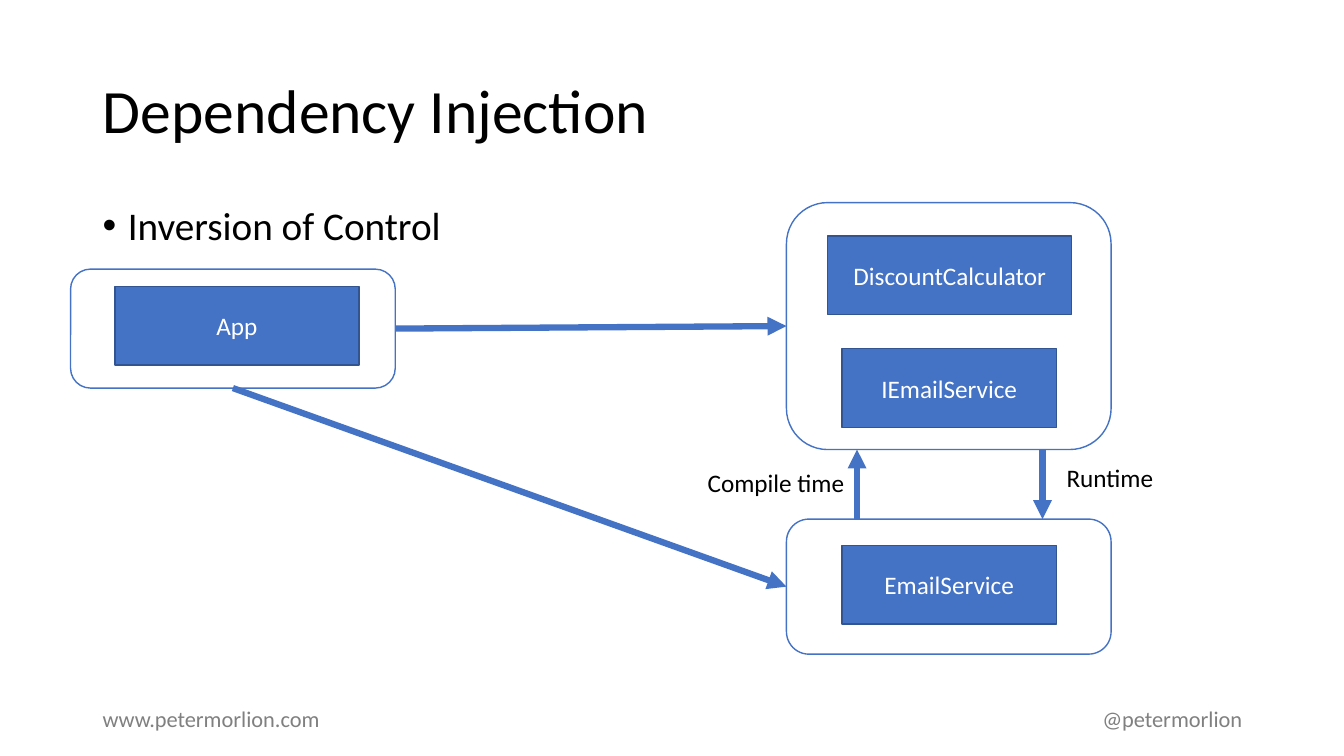
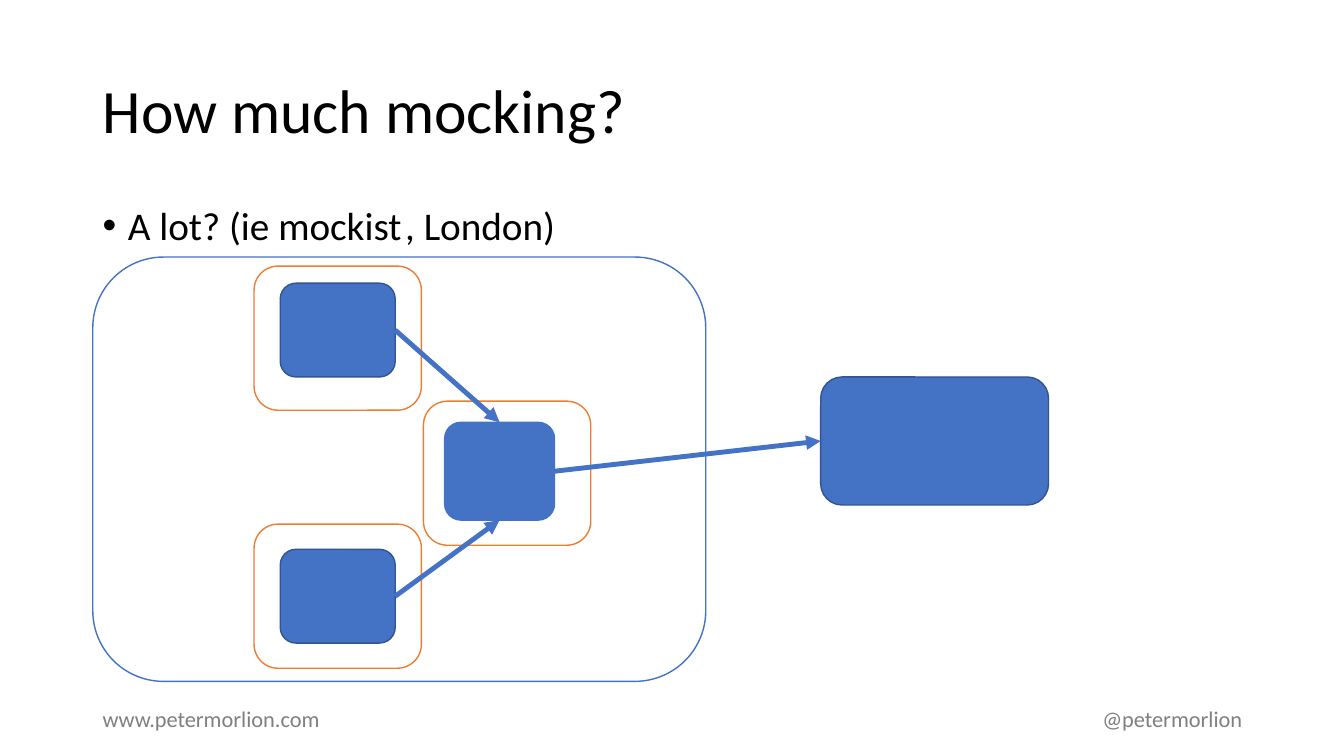
from dataclasses import dataclass

from lxml import etree
from pptx import Presentation
from pptx.dml.color import RGBColor
from pptx.enum.shapes import MSO_CONNECTOR, MSO_SHAPE
from pptx.enum.text import MSO_ANCHOR, MSO_AUTO_SIZE, PP_ALIGN
from pptx.oxml.ns import qn
from pptx.util import Inches, Pt

RECT, ROUNDED = MSO_SHAPE.RECTANGLE, MSO_SHAPE.ROUNDED_RECTANGLE
STRAIGHT = MSO_CONNECTOR.STRAIGHT
LEFT, CENTER, RIGHT = PP_ALIGN.LEFT, PP_ALIGN.CENTER, PP_ALIGN.RIGHT
MIDDLE = MSO_ANCHOR.MIDDLE
TOP_SITE, LEFT_SITE, BOTTOM_SITE, RIGHT_SITE = range(4)


@dataclass(frozen=True)
class Theme:
    font: str = "Calibri"
    black: RGBColor = RGBColor(0x00, 0x00, 0x00)
    white: RGBColor = RGBColor(0xFF, 0xFF, 0xFF)
    grey: RGBColor = RGBColor(0x80, 0x80, 0x80)
    blue: RGBColor = RGBColor(0x44, 0x72, 0xC4)
    dark_blue: RGBColor = RGBColor(0x32, 0x54, 0x91)
    orange: RGBColor = RGBColor(0xED, 0x7D, 0x31)
    title: Pt = Pt(44)
    bullet: Pt = Pt(28)
    label: Pt = Pt(18)
    footer: Pt = Pt(16)
    outline: Pt = Pt(1)


THEME = Theme()

# Box style: preset shape, fill, outline
BOX_STYLES = {
    "group": (ROUNDED, THEME.white, THEME.blue),
    "mock": (ROUNDED, THEME.white, THEME.orange),
    "class": (RECT, THEME.blue, THEME.dark_blue),
    "unit": (ROUNDED, THEME.blue, THEME.dark_blue),
    "hub": (ROUNDED, THEME.blue, THEME.blue),
}

FOOTERS = [
    ("www.petermorlion.com", (0.92, 6.95, 3.21, 0.37), LEFT),
    ("@petermorlion", (9.42, 6.95, 3, 0.37), RIGHT),
]

# boxes: key -> (style, position, text)
# links: (from box, its site, to box, its site)
# free_arrows: (x, start y, end y)
SLIDES = [
    {
        "title": "Dependency Injection",
        "bullet": "Inversion of Control",
        "boxes": {
            "service group": ("group", (7.8, 5.15, 3.22, 1.34), ""),
            "domain group": ("group", (7.8, 2.01, 3.22, 2.45), ""),
            "calculator": ("class", (8.21, 2.34, 2.42, 0.78), "DiscountCalculator"),
            "interface": ("class", (8.35, 3.46, 2.13, 0.78), "IEmailService"),
            "service": ("class", (8.35, 5.41, 2.13, 0.78), "EmailService"),
            "app group": ("group", (0.7, 2.67, 3.22, 1.18), ""),
            "app": ("class", (1.14, 2.84, 2.42, 0.78), "App"),
        },
        "links": [
            ("app group", RIGHT_SITE, "domain group", LEFT_SITE),
            ("app group", BOTTOM_SITE, "service group", LEFT_SITE),
        ],
        "free_arrows": [(8.5, 5.15, 4.46), (10.34, 4.46, 5.15)],
        "arrow_width": Pt(4.5),
        "labels": [
            ("Runtime", (10.48, 4.54, 1.17, 0.4)),
            ("Compile time", (6.92, 4.59, 1.64, 0.4)),
        ],
    },
    {
        "title": "How much mocking?",
        "bullet": "A lot? (ie mockist\t, London)",
        "boxes": {
            "system": ("group", (0.92, 2.55, 6.08, 4.21), ""),
            "upper mock": ("mock", (2.52, 2.64, 1.66, 1.43), ""),
            "outside": ("unit", (8.14, 3.74, 2.26, 1.27), ""),
            "upper": ("unit", (2.78, 2.81, 1.14, 0.93), ""),
            "lower mock": ("mock", (2.52, 5.2, 1.66, 1.43), ""),
            "lower": ("unit", (2.78, 5.45, 1.14, 0.93), ""),
            "hub mock": ("mock", (4.2, 3.98, 1.66, 1.43), ""),
            "hub": ("hub", (4.41, 4.19, 1.09, 0.97), ""),
        },
        "links": [
            ("upper", RIGHT_SITE, "hub", TOP_SITE),
            ("lower", RIGHT_SITE, "hub", BOTTOM_SITE),
            ("hub", RIGHT_SITE, "outside", LEFT_SITE),
        ],
        "free_arrows": [],
        "arrow_width": Pt(3.5),
        "labels": [],
    },
]


def write(shape, text, size, color, align=LEFT):
    """Fill the shape with one formatted paragraph and return it."""
    shape.text_frame.word_wrap = True
    shape.text_frame.text = text
    paragraph = shape.text_frame.paragraphs[0]
    paragraph.alignment = align
    for run in paragraph.runs:
        run.font.name = THEME.font
        run.font.size = size
        run.font.color.rgb = color
    return paragraph


def add_arrow(slide, start, end, width):
    arrow = slide.shapes.add_connector(STRAIGHT, *start, *end)
    arrow.line.color.rgb = THEME.blue
    arrow.line.width = width
    etree.SubElement(arrow.line._get_or_add_ln(), qn("a:tailEnd"), type="triangle")
    etree.SubElement(arrow._element.spPr, qn("a:effectLst"))
    return arrow


prs = Presentation()
prs.slide_width, prs.slide_height = Inches(13.33), Inches(7.5)
title_only = prs.slide_layouts[5]

for content in SLIDES:
    slide = prs.slides.add_slide(title_only)

    for text, position, align in FOOTERS:
        footer = slide.shapes.add_textbox(*map(Inches, position))
        write(footer, text, THEME.footer, THEME.grey, align)

    title = slide.shapes.title
    title.left, title.top, title.width, title.height = map(Inches, (0.92, 0.4, 11.5, 1.45))
    write(title, content["title"], THEME.title, THEME.black).line_spacing = 0.9
    title.text_frame.vertical_anchor = MIDDLE
    title.text_frame.auto_size = MSO_AUTO_SIZE.NONE

    body = slide.shapes.add_textbox(*map(Inches, (0.92, 2, 11.5, 4.76)))
    bullet = write(body, content["bullet"], THEME.bullet, THEME.black)
    bullet.line_spacing = 0.9
    bullet_props = bullet._p.get_or_add_pPr()
    bullet_props.set("marL", str(Inches(0.25)))
    bullet_props.set("indent", str(-Inches(0.25)))
    etree.SubElement(bullet_props, qn("a:buFont"), typeface="Arial")
    etree.SubElement(bullet_props, qn("a:buChar"), char="•")

    boxes = {}
    for key, (style, position, text) in content["boxes"].items():
        preset, fill, outline = BOX_STYLES[style]
        box = slide.shapes.add_shape(preset, *map(Inches, position))
        box.shadow.inherit = False
        box.fill.solid()
        box.fill.fore_color.rgb = fill
        box.line.color.rgb = outline
        box.line.width = THEME.outline
        if text:
            write(box, text, THEME.label, THEME.white, CENTER)
            box.text_frame.vertical_anchor = MIDDLE
        boxes[key] = box

    for source, source_site, target, target_site in content["links"]:
        link = add_arrow(slide, (0, 0), (0, 0), content["arrow_width"])
        link.begin_connect(boxes[source], source_site)
        link.end_connect(boxes[target], target_site)

    for x, start_y, end_y in content["free_arrows"]:
        add_arrow(slide, (Inches(x), Inches(start_y)), (Inches(x), Inches(end_y)),
                  content["arrow_width"])

    for text, position in content["labels"]:
        label = slide.shapes.add_textbox(*map(Inches, position))
        write(label, text, THEME.label, THEME.black)

prs.save("out.pptx")
